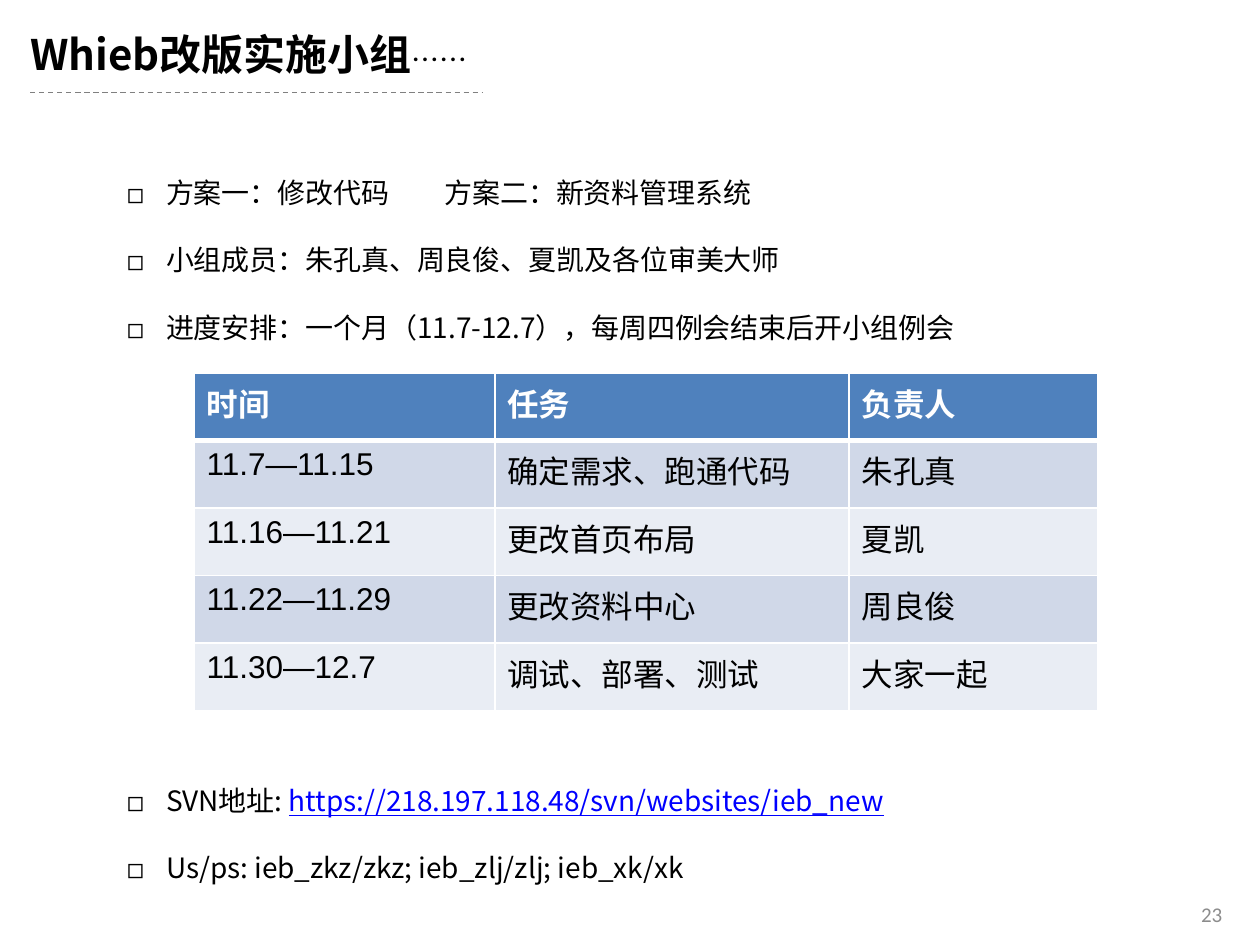
from lxml.etree import SubElement
from pptx import Presentation
from pptx.dml.color import RGBColor
from pptx.enum.dml import MSO_LINE
from pptx.enum.shapes import MSO_CONNECTOR
from pptx.enum.text import MSO_ANCHOR, PP_ALIGN
from pptx.oxml.ns import qn
from pptx.util import Inches, Pt

BLACK = RGBColor(0x00, 0x00, 0x00)
WHITE = RGBColor(0xFF, 0xFF, 0xFF)
GREY = RGBColor(0x80, 0x80, 0x80)
PALE = RGBColor(0x8C, 0x8C, 0x8C)
LINK = RGBColor(0x00, 0x00, 0xFF)
HEAD = RGBColor(0x4F, 0x81, 0xBD)
BANDS = RGBColor(0xD0, 0xD8, 0xE8), RGBColor(0xE9, 0xED, 0xF4)
SANS = "Noto Sans CJK SC"

W, H = Inches(10), Inches(7.5)
PITCH = 38.6  # points from one bullet line to the next
GAP = 6  # bullet lines left free for the table
URL = "https://218.197.118.48/svn/websites/ieb_new"
POINTS = [
    ["方案一：修改代码\t方案二：新资料管理系统"],
    ["小组成员：朱孔真、周良俊、夏凯及各位审美大师"],
    ["进度安排：一个月（11.7-12.7），每周四例会结束后开小组例会"],
    ["SVN地址: ", URL],
    ["Us/ps: ieb_zkz/zkz; ieb_zlj/zlj; ieb_xk/xk"],
]
PLAN = [
    ["时间", "任务", "负责人"],
    ["11.7—11.15", "确定需求、跑通代码", "朱孔真"],
    ["11.16—11.21", "更改首页布局", "夏凯"],
    ["11.22—11.29", "更改资料中心", "周良俊"],
    ["11.30—12.7", "调试、部署、测试", "大家一起"],
]


def share(x, y, w, h):
    """Turn shares of the slide's size into a box."""
    return int(W * x), int(H * y), int(W * w), int(H * h)


def style(para, name, size, color, bold=False):
    font = para.font
    font.name, font.size, font.bold = name, Pt(size), bold
    font.color.rgb = color
    if name == SANS:
        props = para._p.pPr.find(qn("a:defRPr"))
        SubElement(props, qn("a:ea")).set("typeface", name)


def add_text(slide, box):
    frame = slide.shapes.add_textbox(*box).text_frame
    frame.word_wrap = True
    return frame


def add_title(slide, box):
    x, y, w, h = box
    para = add_text(slide, box).paragraphs[0]
    para.add_run().text = "Whieb改版实施小组"
    dots = para.add_run()
    dots.text = "……"
    dots.font.size, dots.font.bold = Pt(16), False
    style(para, SANS, 24, BLACK, True)

    left, base = x + Inches(0.1), y + int(h * 1.1)
    rule = slide.shapes.add_connector(
        MSO_CONNECTOR.STRAIGHT, left, base, left + Inches(3.59), base)
    rule.line.color.rgb = GREY
    rule.line.width = Pt(0.75)
    rule.line.dash_style = MSO_LINE.DASH
    SubElement(rule._element.spPr, qn("a:effectLst"))


def add_bullet(para):
    props = para._p.get_or_add_pPr()
    props.set("marL", str(Inches(0.31)))
    props.set("indent", str(-Inches(0.31)))
    SubElement(props, qn("a:buFont")).set("typeface", SANS)
    SubElement(props, qn("a:buChar")).set("char", "◻")
    tabs = SubElement(props, qn("a:tabLst"))
    stop = SubElement(tabs, qn("a:tab"))
    stop.set("pos", str(Inches(2.52)))
    stop.set("algn", "l")


def add_points(slide, box):
    frame = add_text(slide, box)
    for i, parts in enumerate(POINTS):
        para = frame.add_paragraph() if i else frame.paragraphs[0]
        para.line_spacing = Pt(PITCH)
        if URL in parts:
            para.space_before = Pt(GAP * PITCH)
        add_bullet(para)
        for part in parts:
            run = para.add_run()
            run.text = part
            if part == URL:
                run.font.color.rgb = LINK
                run.font.underline = True
        style(para, SANS, 16, BLACK)


def add_edges(cell, head):
    props = cell._tc.get_or_add_tcPr()
    for side in "LRTB":
        width = 3 if head and side == "B" else 1
        line = SubElement(props, qn("a:ln" + side), w=str(Pt(width)))
        fill = SubElement(line, qn("a:solidFill"))
        SubElement(fill, qn("a:srgbClr")).set("val", str(WHITE))


def add_plan(slide, box):
    table = slide.shapes.add_table(len(PLAN), len(PLAN[0]), *box).table
    for col, part in zip(table.columns, (0.333, 0.392, 0.275)):
        col.width = int(box[2] * part)
    for r, row in enumerate(PLAN):
        head = r == 0
        for c, text in enumerate(row):
            cell = table.cell(r, c)
            add_edges(cell, head)
            cell.fill.solid()
            cell.fill.fore_color.rgb = HEAD if head else BANDS[(r - 1) % 2]
            cell.text = text
            style(cell.text_frame.paragraphs[0], "Arial", 18,
                  WHITE if head else BLACK, head)


def add_number(slide, box):
    frame = add_text(slide, box)
    frame.vertical_anchor = MSO_ANCHOR.MIDDLE
    para = frame.paragraphs[0]
    para.text = "23"
    para.alignment = PP_ALIGN.RIGHT
    style(para, "Calibri", 12, PALE)


def main():
    deck = Presentation()
    deck.slide_width, deck.slide_height = W, H
    slide = deck.slides.add_slide(deck.slide_layouts[6])
    add_title(slide, share(0.014, 0.024, 0.699, 0.067))
    add_points(slide, share(0.091, 0.143, 0.764, 0.81))
    add_plan(slide, share(0.154, 0.395, 0.717, 0.357))
    add_number(slide, share(0.747, 0.941, 0.233, 0.053))
    deck.save("out.pptx")


if __name__ == "__main__":
    main()
